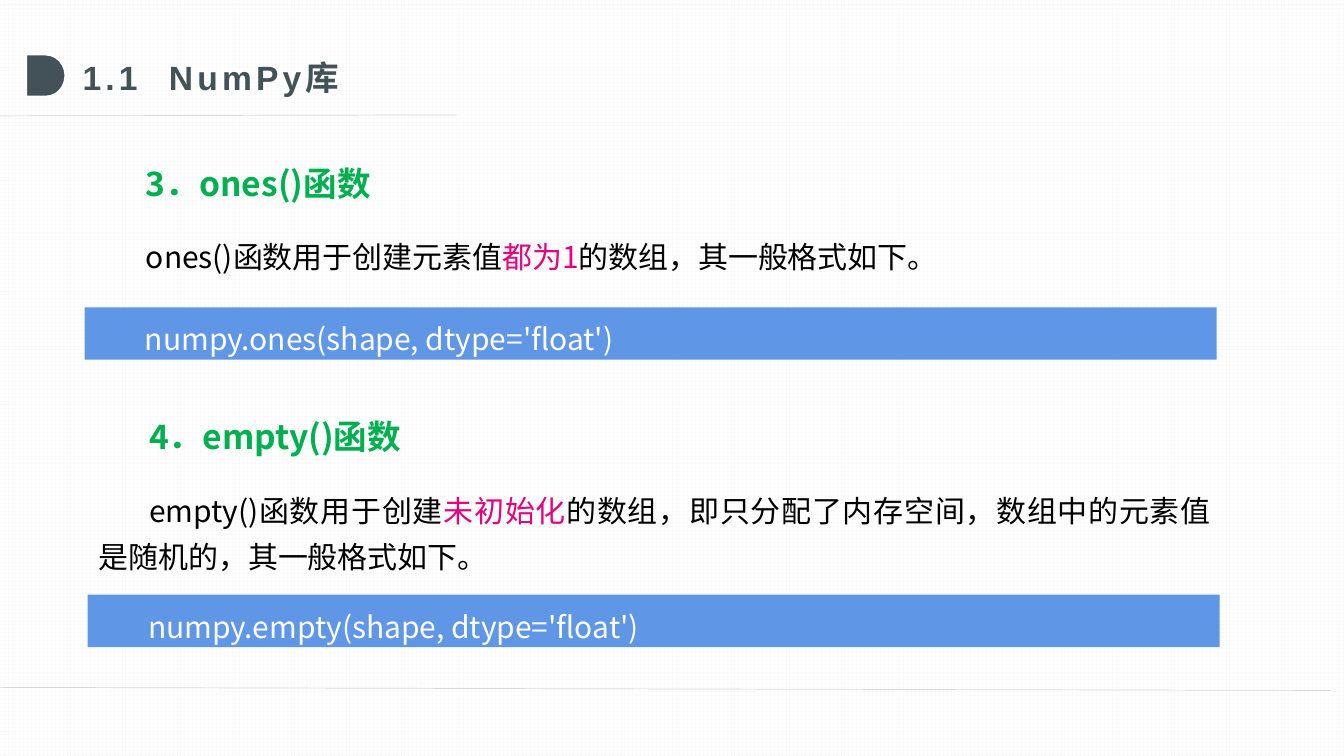
from pptx import Presentation
from pptx.dml.color import RGBColor
from pptx.enum.dml import MSO_PATTERN
from pptx.enum.shapes import MSO_CONNECTOR, MSO_SHAPE
from pptx.enum.text import MSO_ANCHOR, MSO_AUTO_SIZE, PP_ALIGN
from pptx.oxml.ns import qn
from pptx.util import Pt
from lxml.etree import SubElement

COLORS = {
    "white": "FFFFFF", "weave": "FAFAFA", "rule": "D9D9D9", "slate": "435258",
    "green": "00B050", "black": "000000", "pink": "E4007E", "blue": "6096E6",
}
CJK = "Noto Sans CJK SC"


def color(name):
    return RGBColor.from_string(COLORS[name])


def write(shape, *parts, size=21.4, font=CJK, bold=False, spacing=0,
          indent=36, line_spacing=1.3, align=PP_ALIGN.JUSTIFY):
    box = shape.text_frame
    box.word_wrap = True
    box.auto_size = MSO_AUTO_SIZE.NONE
    box.vertical_anchor = MSO_ANCHOR.MIDDLE
    box.margin_left = box.margin_right = Pt(7.2)
    box.margin_top = box.margin_bottom = Pt(0)
    para = box.paragraphs[0]
    para.alignment = align
    para.line_spacing = line_spacing
    para.space_before = Pt(0)
    para._p.get_or_add_pPr().set("indent", str(Pt(indent)))
    for text, shade in parts:
        span = para.add_run()
        span.text = text
        span.font.size = Pt(size)
        span.font.name = font
        span.font.bold = bold
        span.font.color.rgb = color(shade)
        properties = span._r.get_or_add_rPr()
        properties.set("spc", str(spacing * 100))
        SubElement(properties, qn("a:ea")).set("typeface", CJK)


deck = Presentation()
deck.slide_width, deck.slide_height = Pt(960), Pt(540)
page = deck.slides.add_slide(deck.slide_layouts[5])
shapes = page.shapes

backdrop = page.background.fill
backdrop.patterned()
backdrop.pattern = MSO_PATTERN.CROSS
backdrop.fore_color.rgb = color("weave")
backdrop.back_color.rgb = color("white")

for start_y, end_x, end_y in [(82.8, 326.2, 82.1), (491, 950.4, 493.2)]:
    rule = shapes.add_connector(
        MSO_CONNECTOR.STRAIGHT, Pt(0), Pt(start_y), Pt(end_x), Pt(end_y))
    rule.line.color.rgb = color("rule")
    rule.line.width = Pt(0.5)
    SubElement(rule._element.spPr, qn("a:effectLst"))

marker = shapes.add_shape(
    MSO_SHAPE.FLOWCHART_DELAY, Pt(18.7), Pt(38.9), Pt(28.1), Pt(30.2))
marker.shadow.inherit = False
marker.fill.solid()
marker.fill.fore_color.rgb = color("slate")
marker.line.color.rgb = color("white")
marker.line.width = Pt(1.5)

title = shapes.title
title.left, title.top, title.width, title.height = Pt(51.8), Pt(36.7), Pt(244.8), Pt(36)
write(title, ("1.1  NumPy库", "slate"), size=24, font="Arial", bold=True,
      spacing=3, indent=0, line_spacing=1, align=PP_ALIGN.LEFT)

sections = [
    (61.2, 105.8, 41, 219.6, "3．ones()函数",
     [("ones()函数用于创建元素值", "black"), ("都为1", "pink"),
      ("的数组，其一般格式如下。", "black")],
     "numpy.ones(shape, dtype='float')"),
    (63.4, 286.6, 74.9, 424.8, "4．empty()函数",
     [("empty()函数用于创建", "black"), ("未初始化", "pink"),
      ("的数组，即只分配了内存空间，数组中的元素值是随机的，其一般格式如下。", "black")],
     "numpy.empty(shape, dtype='float')"),
]
for left, top, body_height, code_top, heading, body, code in sections:
    heading_box = shapes.add_textbox(Pt(left), Pt(top), Pt(808.6), Pt(41))
    write(heading_box, (heading, "green"), size=24, bold=True)

    body_box = shapes.add_textbox(Pt(left), Pt(top + 53.3), Pt(808.6), Pt(body_height))
    write(body_box, *body)

    code_bar = shapes.add_shape(
        MSO_SHAPE.RECTANGLE, Pt(left - 0.7), Pt(code_top), Pt(808.6), Pt(37.4))
    code_bar.shadow.inherit = False
    code_bar.fill.solid()
    code_bar.fill.fore_color.rgb = color("blue")
    code_bar.line.fill.background()
    write(code_bar, (code, "white"))

deck.save("out.pptx")
